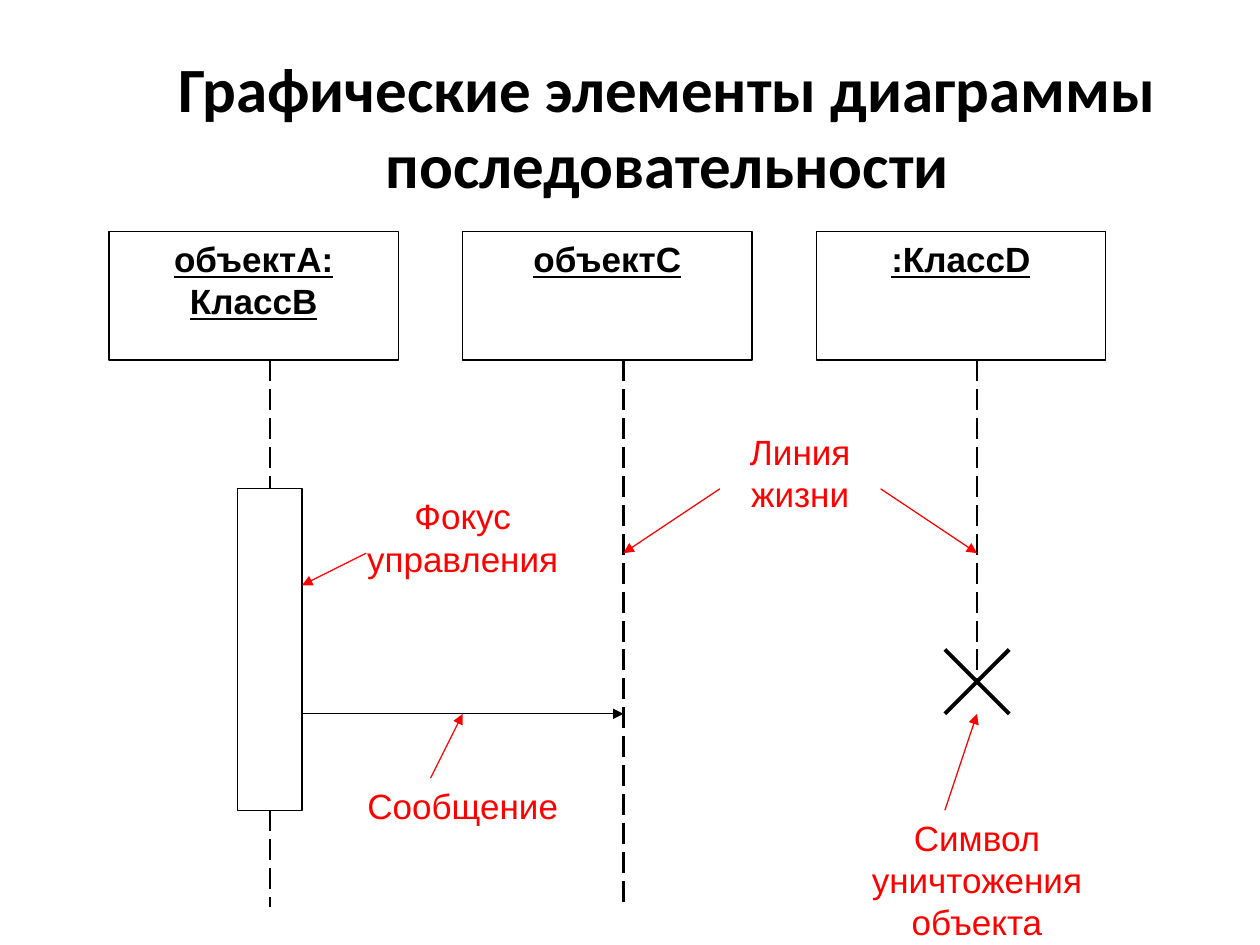
from lxml.etree import SubElement
from pptx import Presentation
from pptx.dml.color import RGBColor
from pptx.enum.dml import MSO_LINE_DASH_STYLE as Dash
from pptx.enum.shapes import MSO_CONNECTOR as Connector, MSO_SHAPE as Shape
from pptx.enum.text import MSO_ANCHOR as Anchor, PP_ALIGN as Align
from pptx.oxml.ns import qn
from pptx.util import Cm, Pt

BLACK, WHITE, RED = "000000", "FFFFFF", "FF0000"

# Content: places are in grid steps (left, top, width, height or x1, y1, x2, y2)
TITLE = "Графические элементы диаграммы последовательности"
OBJECTS = [["объектА:", "КлассВ"], ["объектС"], [":КлассD"]]
LIFELINES = [(5, 4, 5, 8), (5, 18, 5, 21), (16, 4, 16, 21), (27, 4, 27, 14)]
FOCUS = (4, 8, 2, 10)
DESTRUCTION = [(26, 13, 28, 15), (28, 13, 26, 15)]
MESSAGE = (6, 15, 16, 15)
CALLOUTS = [
    ("Линия жизни", (18, 6, 7, 4), [(19, 8, 16, 10), (24, 8, 27, 10)]),
    ("Символ уничтожения объекта", (22, 18, 10, 5), [(26, 18, 27, 15)]),
    ("Фокус управления", (6, 8, 10, 4), [(8, 10, 6, 11)]),
    ("Сообщение", (6, 17, 10, 3), [(8 + 2, 17, 11, 15)]),
]

# Grid
STEP, LEFT, TOP = 0.648, 2.2, 4.67
OBJECT_WIDTH, OBJECT_HEIGHT, OBJECT_PITCH = 9, 4, 11


def x_at(column):
    return Cm(LEFT + column * STEP)


def y_at(row):
    return Cm(TOP + row * STEP)


def frame(left, top, width, height):
    return x_at(left), y_at(top), Cm(width * STEP), Cm(height * STEP)


def rgb(value):
    return RGBColor.from_string(value)


def write(holder, *lines, size=20, font="Arial", color=BLACK, bold=False,
          underline=False, anchor=Anchor.TOP):
    text = holder.text_frame
    text.word_wrap = True
    text.vertical_anchor = anchor
    for number, line in enumerate(lines):
        paragraph = text.add_paragraph() if number else text.paragraphs[0]
        paragraph.alignment = Align.CENTER
        run = paragraph.add_run()
        run.text = line
        run.font.size, run.font.name = Pt(size), font
        run.font.bold, run.font.underline = bold, underline
        run.font.color.rgb = rgb(color)


def add_box(parts, place):
    box = parts.add_shape(Shape.RECTANGLE, *frame(*place))
    box.shadow.inherit = False
    box.fill.solid()
    box.fill.fore_color.rgb = rgb(WHITE)
    box.line.color.rgb = rgb(BLACK)
    box.line.width = Pt(0.75)
    return box


def add_line(parts, ends, color=BLACK, width=0.75, dash=None, arrow=False):
    x1, y1, x2, y2 = ends
    line = parts.add_connector(Connector.STRAIGHT, x_at(x1), y_at(y1), x_at(x2), y_at(y2))
    line.line.color.rgb = rgb(color)
    line.line.width = Pt(width)
    if dash:
        line.line.dash_style = dash
    if arrow:
        SubElement(line.line._get_or_add_ln(), qn("a:tailEnd"), type="triangle")
    SubElement(line._element.spPr, qn("a:effectLst"))


def main():
    deck = Presentation()
    deck.slide_width, deck.slide_height = Cm(25.4), Cm(19.05)
    slide = deck.slides.add_slide(deck.slide_layouts[5])

    # Title
    title = slide.shapes.title
    title.left, title.top, title.width, title.height = Cm(1.07), Cm(0.84), Cm(24.77), Cm(3.38)
    write(title, TITLE, size=36, font="Calibri", bold=True, anchor=Anchor.MIDDLE)

    # Objects, lifelines and focus of control
    diagram = slide.shapes.add_group_shape().shapes
    for number, name in enumerate(OBJECTS):
        box = add_box(diagram, (number * OBJECT_PITCH, 0, OBJECT_WIDTH, OBJECT_HEIGHT))
        write(box, *name, bold=True, underline=True)
    for lifeline in LIFELINES:
        add_line(diagram, lifeline, width=1.5, dash=Dash.LONG_DASH)
    add_box(diagram, FOCUS)

    # Destruction mark and message
    for stroke in DESTRUCTION:
        add_line(diagram, stroke, width=2.25)
    add_line(diagram, MESSAGE, arrow=True)

    # Red explanations with their pointers
    for caption, place, pointers in CALLOUTS:
        write(diagram.add_textbox(*frame(*place)), caption, color=RED)
        for pointer in pointers:
            add_line(diagram, pointer, color=RED, arrow=True)

    deck.save("out.pptx")


if __name__ == "__main__":
    main()
